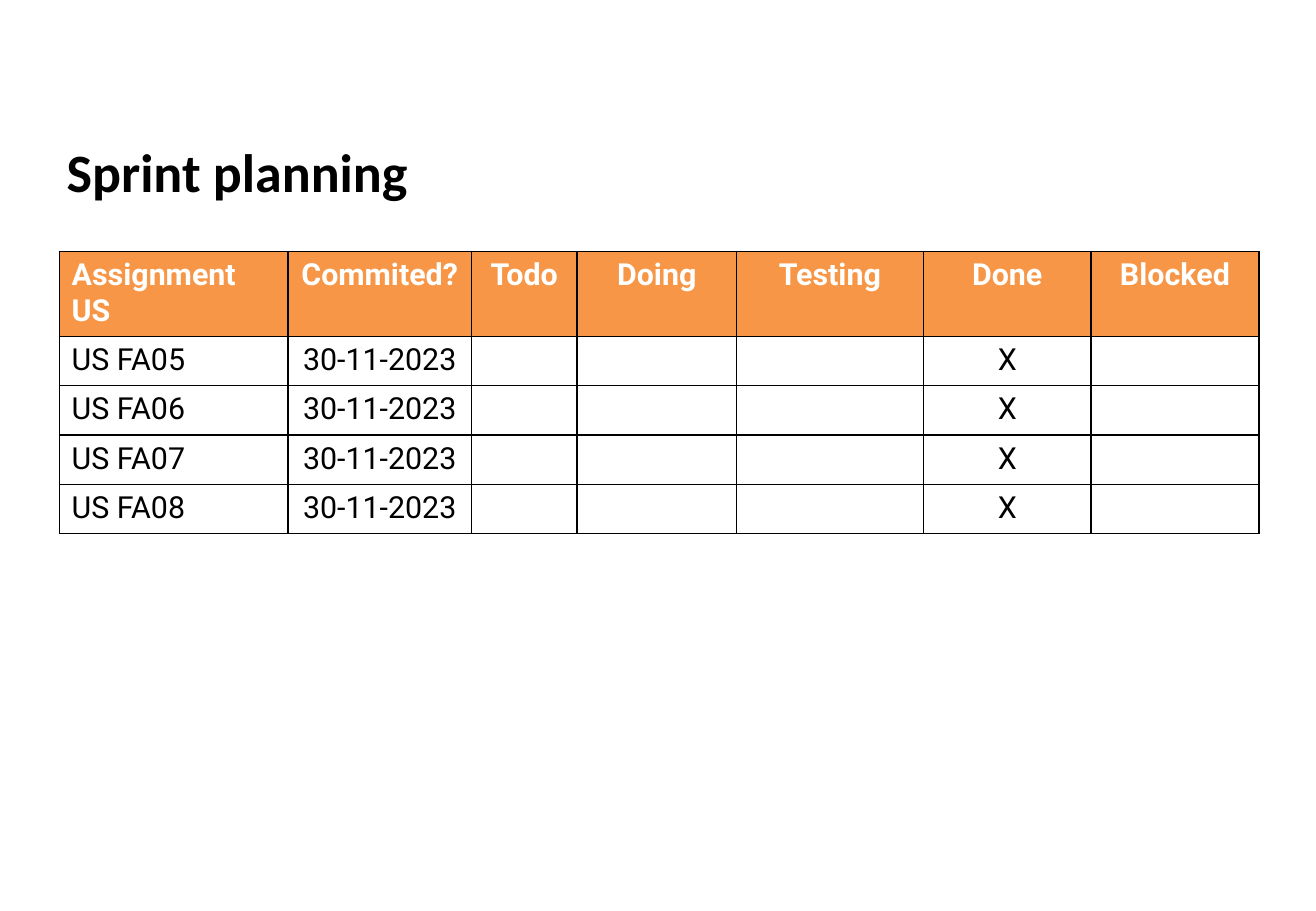
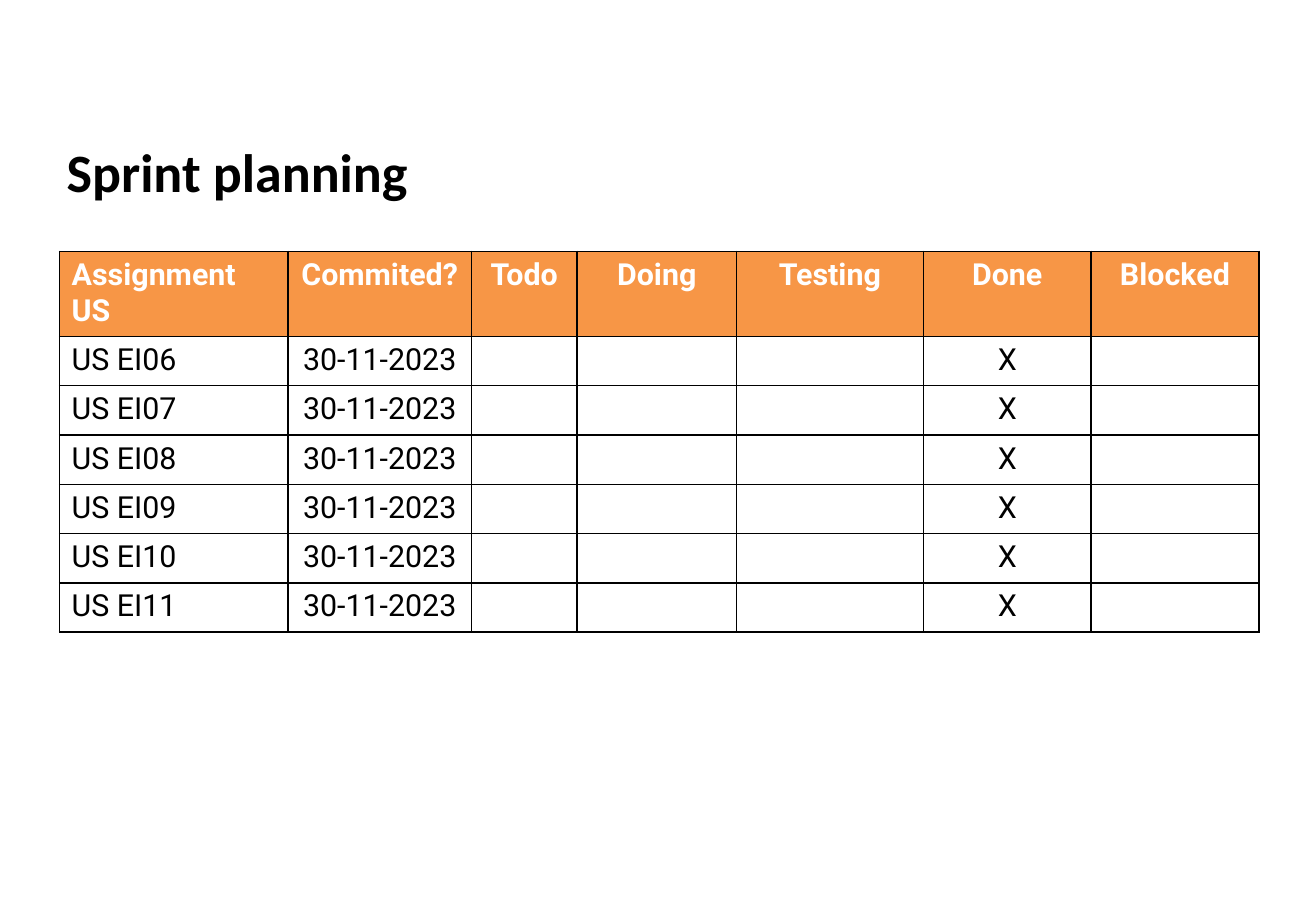
from pptx import Presentation
from pptx.dml.color import RGBColor
from pptx.enum.text import MSO_ANCHOR, PP_ALIGN
from pptx.oxml.ns import qn
from pptx.util import Inches, Pt
from lxml.etree import SubElement

COLORS = {"header": "F79646", "header_text": "FFFFFF", "body": "FFFFFF", "text": "000000", "border": "000000"}
TITLE_FONT, TABLE_FONT = "Calibri", "Roboto"

# Boxes are left, top, width and height in inches
TITLE_BOX = (0.45, 1.09, 10.08, 0.63)
TABLE_LEFT, TABLE_TOP = 0.49, 2.07
COLUMN_WIDTHS = (1.88, 1.51, 0.87, 1.31, 1.54, 1.38, 1.38)
ROW_HEIGHT = Pt(29.2)

HEADINGS = ("Assignment US", "Commited?", "Todo", "Doing", "Testing", "Done", "Blocked")
COMMITTED_DATE = "30-11-2023"
SPRINTS = (
    [f"US FA{number:02}" for number in range(5, 9)],
    [f"US EI{number:02}" for number in range(6, 12)],
)


def color(name):
    return RGBColor.from_string(COLORS[name])


def format_text(paragraph, font_name, size, color_name, bold):
    for run in paragraph.runs:
        run.font.name = font_name
        run.font.size = Pt(size)
        run.font.bold = bold
        run.font.color.rgb = color(color_name)


def add_title(slide, text, box):
    text_frame = slide.shapes.add_textbox(*map(Inches, box)).text_frame
    text_frame.word_wrap = True
    text_frame.vertical_anchor = MSO_ANCHOR.MIDDLE
    text_frame.text = text
    format_text(text_frame.paragraphs[0], TITLE_FONT, 32, "text", True)


def add_borders(cell):
    # Border lines come before the fill in the cell properties
    properties = cell._tc.get_or_add_tcPr()
    for index, side in enumerate(("a:lnL", "a:lnR", "a:lnT", "a:lnB")):
        line = SubElement(properties, qn(side), w=str(Pt(1)))
        fill = SubElement(line, qn("a:solidFill"))
        SubElement(fill, qn("a:srgbClr"), val=COLORS["border"])
        properties.insert(index, line)


def fill_cell(cell, text, is_header, is_centered):
    cell.fill.solid()
    cell.fill.fore_color.rgb = color("header" if is_header else "body")
    add_borders(cell)
    if text:
        cell.text_frame.text = text
        paragraph = cell.text_frame.paragraphs[0]
        paragraph.alignment = PP_ALIGN.CENTER if is_centered else PP_ALIGN.LEFT
        format_text(paragraph, TABLE_FONT, 18, "header_text" if is_header else "text", is_header)


def add_sprint_table(slide, stories, left, top):
    rows = [HEADINGS] + [(story, COMMITTED_DATE, "", "", "", "X", "") for story in stories]
    frame = slide.shapes.add_table(
        len(rows), len(HEADINGS), Inches(left), Inches(top),
        Inches(sum(COLUMN_WIDTHS)), ROW_HEIGHT * len(rows))
    table = frame.table
    table.horz_banding = False
    for column, width in zip(table.columns, COLUMN_WIDTHS):
        column.width = Inches(width)
    for row_index, values in enumerate(rows):
        for column_index, value in enumerate(values):
            fill_cell(table.cell(row_index, column_index), value, row_index == 0, column_index > 0)


def add_sprint_slide(presentation, stories):
    slide = presentation.slides.add_slide(presentation.slide_layouts[6])
    add_title(slide, "Sprint planning", TITLE_BOX)
    add_sprint_table(slide, stories, TABLE_LEFT, TABLE_TOP)


def main():
    presentation = Presentation()
    presentation.slide_width, presentation.slide_height = Inches(10.83), Inches(7.5)
    for stories in SPRINTS:
        add_sprint_slide(presentation, stories)
    presentation.save("out.pptx")


if __name__ == "__main__":
    main()
